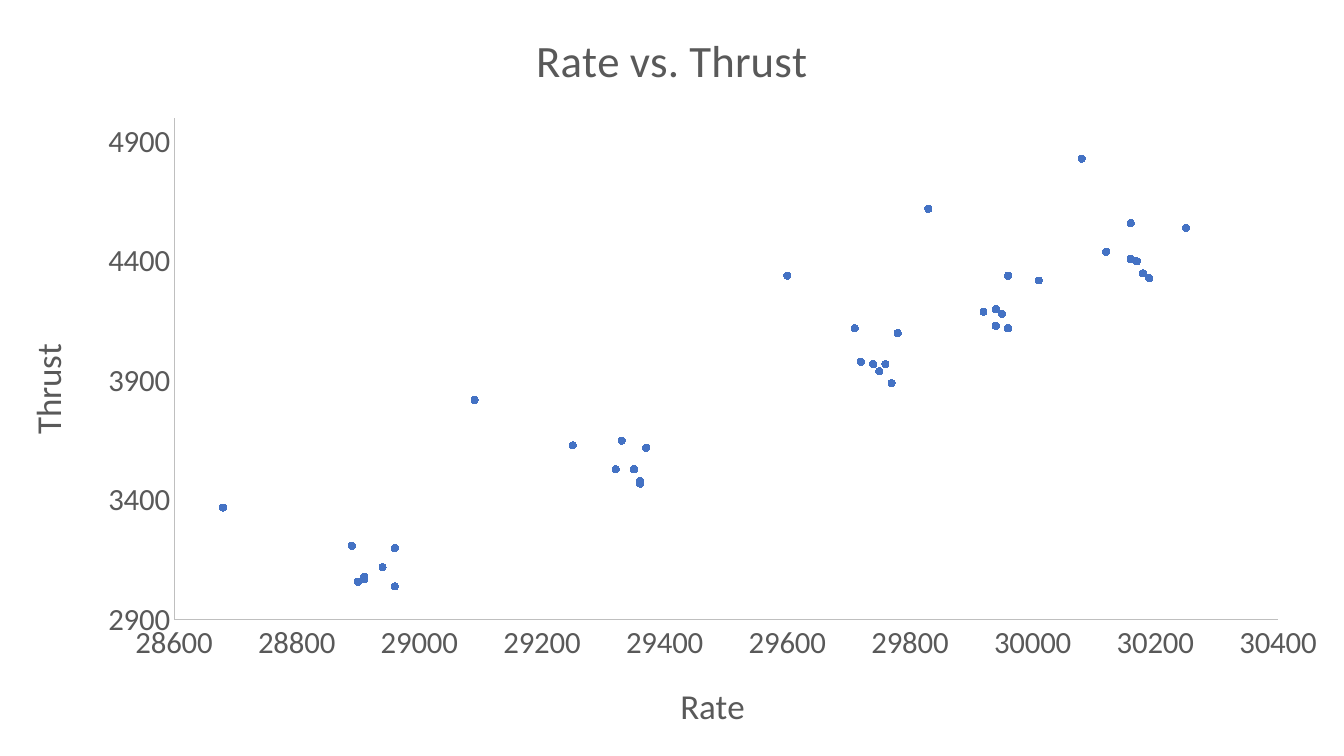
"""Builds a slide with a scatter chart of thrust against rate."""
from lxml import etree
from pptx import Presentation
from pptx.chart.data import XyChartData
from pptx.dml.color import RGBColor
from pptx.enum.chart import XL_CHART_TYPE, XL_MARKER_STYLE, XL_TICK_MARK
from pptx.oxml.ns import qn
from pptx.util import Emu, Pt

SCATTER = XL_CHART_TYPE.XY_SCATTER
CIRCLE = XL_MARKER_STYLE.CIRCLE
NO_TICK = XL_TICK_MARK.NONE
SCALE = 914400 / 100.8
WIDTH, HEIGHT = 1344, 756
COLORS = {"text": "595959", "axis": "BFBFBF", "point": "4472C4"}

READINGS = [
    (30250, 4540), (30010, 4320), (29780, 4100), (29330, 3650), (28960, 3200),
    (30080, 4830), (29830, 4620), (29600, 4340), (29090, 3820), (28680, 3370),
    (30120, 4440), (29920, 4190), (29720, 3980), (29370, 3620), (28940, 3120),
    (30160, 4560), (29960, 4340), (29710, 4120), (29250, 3630), (28890, 3210),
    (30190, 4330), (29960, 4120), (29770, 3890), (29360, 3470), (28960, 3040),
    (30160, 4410), (29940, 4200), (29740, 3970), (29320, 3530), (28910, 3070),
    (30180, 4350), (29940, 4130), (29750, 3940), (29360, 3480), (28900, 3060),
    (30170, 4400), (29950, 4180), (29760, 3970), (29350, 3530), (28910, 3080),
]
RATE_SCALE = {"minimum_scale": 28600, "maximum_scale": 30400, "major_unit": 200}
THRUST_SCALE = {"minimum_scale": 2900, "maximum_scale": 5000, "major_unit": 500}
AXIS_FORMAT = {"has_major_gridlines": False, "has_minor_gridlines": False,
               "major_tick_mark": NO_TICK, "minor_tick_mark": NO_TICK}


class ChartSlide:
    """Holds the style and the current slide."""

    def __init__(self, deck, font="Calibri"):
        self.font = font
        self.slide = deck.slides.add_slide(deck.slide_layouts[6])

    def style_font(self, font, size):
        values = {"name": self.font, "size": Pt(size), "bold": False}
        for key, value in values.items():
            setattr(font, key, value)
        font.color.rgb = RGBColor.from_string(COLORS["text"])

    def place(self, element, index, box, inner=False):
        for old in element.findall(qn("c:layout")):
            element.remove(old)
        layout = etree.Element(qn("c:layout"))
        manual = etree.SubElement(layout, qn("c:manualLayout"))
        fields = {"layoutTarget": "inner"} if inner else {}
        fields.update(xMode="edge", yMode="edge")
        for key, length, total in zip("xywh", box, (WIDTH, HEIGHT) * 2):
            fields[key] = f"{length / total:.4f}"
        for key, value in fields.items():
            etree.SubElement(manual, qn("c:" + key)).set("val", value)
        element.insert(index, layout)

    def title(self, title, text, size):
        title.text_frame.text = text
        self.style_font(title.text_frame.paragraphs[0].runs[0].font, size)

    def axis(self, axis, text, title_at, scale, rotation=0):
        for key, value in {**AXIS_FORMAT, **scale}.items():
            setattr(axis, key, value)
        self.style_font(axis.tick_labels.font, 22)
        axis.tick_labels.number_format = "General"
        axis.tick_labels.number_format_is_linked = False
        axis.format.line.width = Pt(0.75)
        axis.format.line.color.rgb = RGBColor.from_string(COLORS["axis"])
        self.title(axis.axis_title, text, 25)
        body = axis.axis_title.text_frame._txBody.find(qn("a:bodyPr"))
        body.set("rot", str(rotation * 60000))
        self.place(axis.axis_title._element, 1, title_at)

    def scatter(self, box, plot_box, name, readings):
        data = XyChartData()
        series = data.add_series(name)
        for rate, thrust in readings:
            series.add_data_point(rate, thrust)
        frame = [Emu(round(length * SCALE)) for length in box]
        chart = self.slide.shapes.add_chart(SCATTER, *frame, data).chart
        chart.has_legend = False
        self.style_font(chart.font, 10)
        plot = chart.plots[0]
        plot.vary_by_categories = False
        points = plot.series[0]
        points.smooth = False
        points.format.line.fill.background()
        points.marker.style = CIRCLE
        points.marker.size = 5
        point_color = RGBColor.from_string(COLORS["point"])
        points.marker.format.fill.solid()
        points.marker.format.fill.fore_color.rgb = point_color
        points.marker.format.line.color.rgb = point_color
        plot_area = chart._chartSpace.find(".//" + qn("c:plotArea"))
        self.place(plot_area, 0, plot_box, inner=True)
        return chart


deck = Presentation()
deck.slide_width = Emu(round(WIDTH * SCALE))
deck.slide_height = Emu(round(HEIGHT * SCALE))
page = ChartSlide(deck)
thrust_chart = page.scatter((0, 0, WIDTH, HEIGHT), (174, 118, 1104, 502),
                            "Series 1", READINGS)
page.title(thrust_chart.chart_title, "Rate vs. Thrust", 32)
page.axis(thrust_chart.category_axis, "Rate", (674, 676), RATE_SCALE)
page.axis(thrust_chart.value_axis, "Thrust", (18, 338), THRUST_SCALE, rotation=-90)
deck.save("out.pptx")
